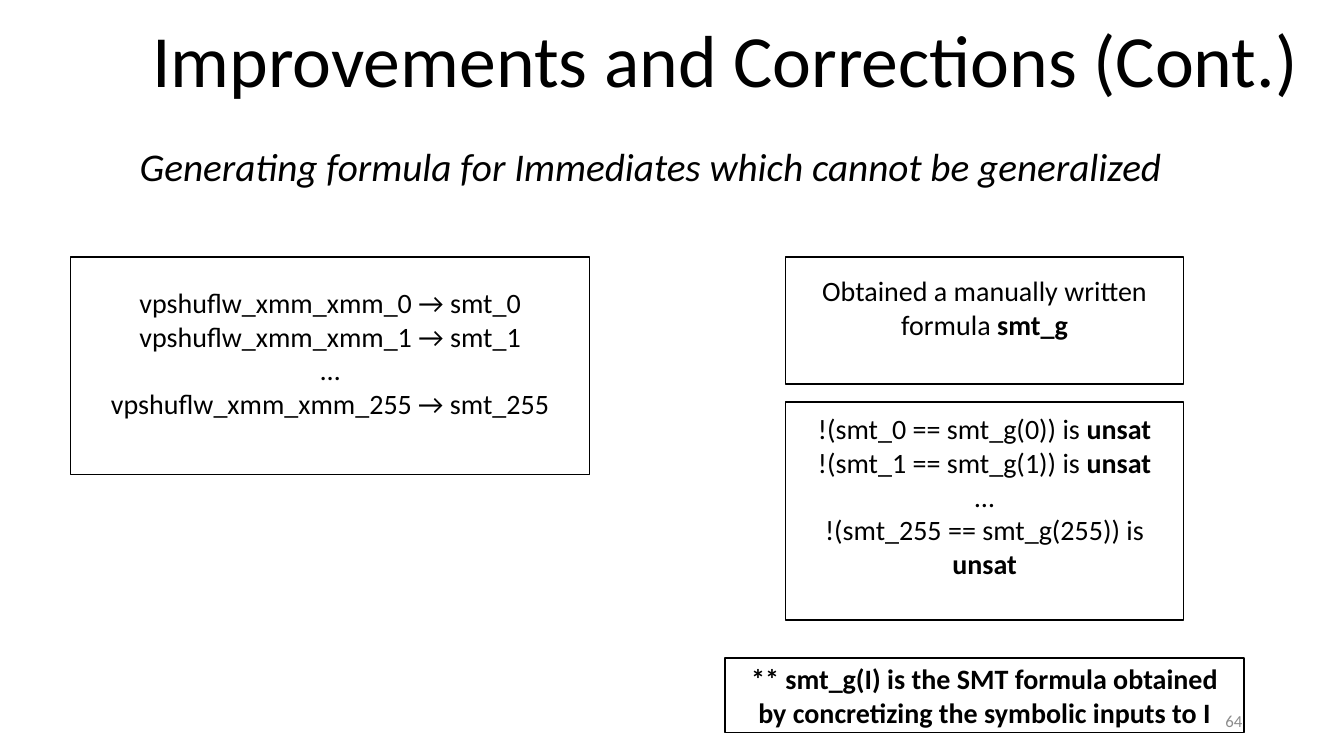
from dataclasses import dataclass

from pptx import Presentation
from pptx.dml.color import RGBColor as Rgb
from pptx.enum.shapes import MSO_SHAPE as Shape
from pptx.enum.text import MSO_ANCHOR as Anchor, MSO_AUTO_SIZE as Fit, PP_ALIGN as Align
from pptx.util import Pt

PX = 9144  # 100 px to the inch


@dataclass(frozen=True)
class Theme:
    face: str = "Calibri"
    ink: Rgb = Rgb(0, 0, 0)
    paper: Rgb = Rgb(255, 255, 255)
    grey: Rgb = Rgb(0x8C, 0x8C, 0x8C)
    head: float = 52.6
    sub: int = 28
    body: int = 20
    foot: int = 12
    rule: int = 1


THEME = Theme()


def scale(box):
    return [n * PX for n in box]


def apply(obj, form):
    for key, val in form.items():
        setattr(obj, key, val)


def write(shape, lines, size, ink=THEME.ink, align=Align.CENTER, space=1.0,
          italic=False, low=5):
    """Fill a shape with lines of (text, bold) runs; low is the bottom inset."""
    frame = shape.text_frame
    apply(frame, {"word_wrap": True, "auto_size": Fit.NONE,
                  "vertical_anchor": Anchor.MIDDLE,
                  "margin_left": 10 * PX, "margin_right": 10 * PX,
                  "margin_top": 5 * PX, "margin_bottom": low * PX})
    for i, line in enumerate(lines):
        para = frame.add_paragraph() if i else frame.paragraphs[0]
        apply(para, {"alignment": align, "line_spacing": space})
        for text, bold in line:
            run = para.add_run()
            run.text = text
            apply(run.font, {"name": THEME.face, "size": Pt(size),
                             "bold": bold, "italic": italic})
            run.font.color.rgb = ink


def topic(slide, box, text):
    title = slide.shapes.title
    apply(title, dict(zip(("left", "top", "width", "height"), scale(box))))
    write(title, [[(text, False)]], THEME.sub, space=0.9, italic=True)


def panel(slide, box, lines, low=5):
    rect = slide.shapes.add_shape(Shape.RECTANGLE, *scale(box))
    rect.shadow.inherit = False
    rect.fill.solid()
    rect.fill.fore_color.rgb = THEME.paper
    rect.line.color.rgb = THEME.ink
    rect.line.width = Pt(THEME.rule)
    write(rect, lines, THEME.body, low=low)


def label(slide, box, text, size, **form):
    area = slide.shapes.add_textbox(*scale(box))
    write(area, [[(text, False)]], size, **form)


def proofs(slide, box):
    """Stack the manual formula over its checks, with a wider note below."""
    left, top, width, height = box
    formula, checks, gap = 126, 216, 18
    panel(slide, (left, top, width, formula),
          [[("Obtained a manually written formula ", False), ("smt_g", True)]], low=31)
    lines = [[(f"!(smt_{n} == smt_g({n})) is ", False), ("unsat", True)]
             for n in (0, 1, 255)]
    lines.insert(2, [("…", False)])
    panel(slide, (left, top + formula + gap, width, checks), lines, low=35)
    note, out = 74, 60
    panel(slide, (left - out, top + height - note, width + 2 * out, note),
          [[("** smt_g(I) is the SMT formula obtained by concretizing "
             "the symbolic inputs to I", True)]])


def cases(slide, box):
    names = [f"vpshuflw_xmm_xmm_{n} → smt_{n}" for n in (0, 1, 255)]
    names.insert(2, "…")
    panel(slide, box, [[(name, False)] for name in names], low=31)


def main():
    deck = Presentation()
    deck.slide_width, deck.slide_height = scale((1333, 750))
    slide = deck.slides.add_slide(deck.slide_layouts[5])
    topic(slide, (70, 134, 1150, 66),
          "Generating formula for Immediates which cannot be generalized")
    cases(slide, (70, 255, 515, 216))
    proofs(slide, (779, 255, 395, 472))
    label(slide, (106, 14, 1226, 99), "Improvements and Corrections (Cont.)",
          THEME.head, space=0.9)
    label(slide, (942, 695, 300, 40), "64", THEME.foot,
          ink=THEME.grey, align=Align.RIGHT)
    deck.save("out.pptx")


if __name__ == "__main__":
    main()
